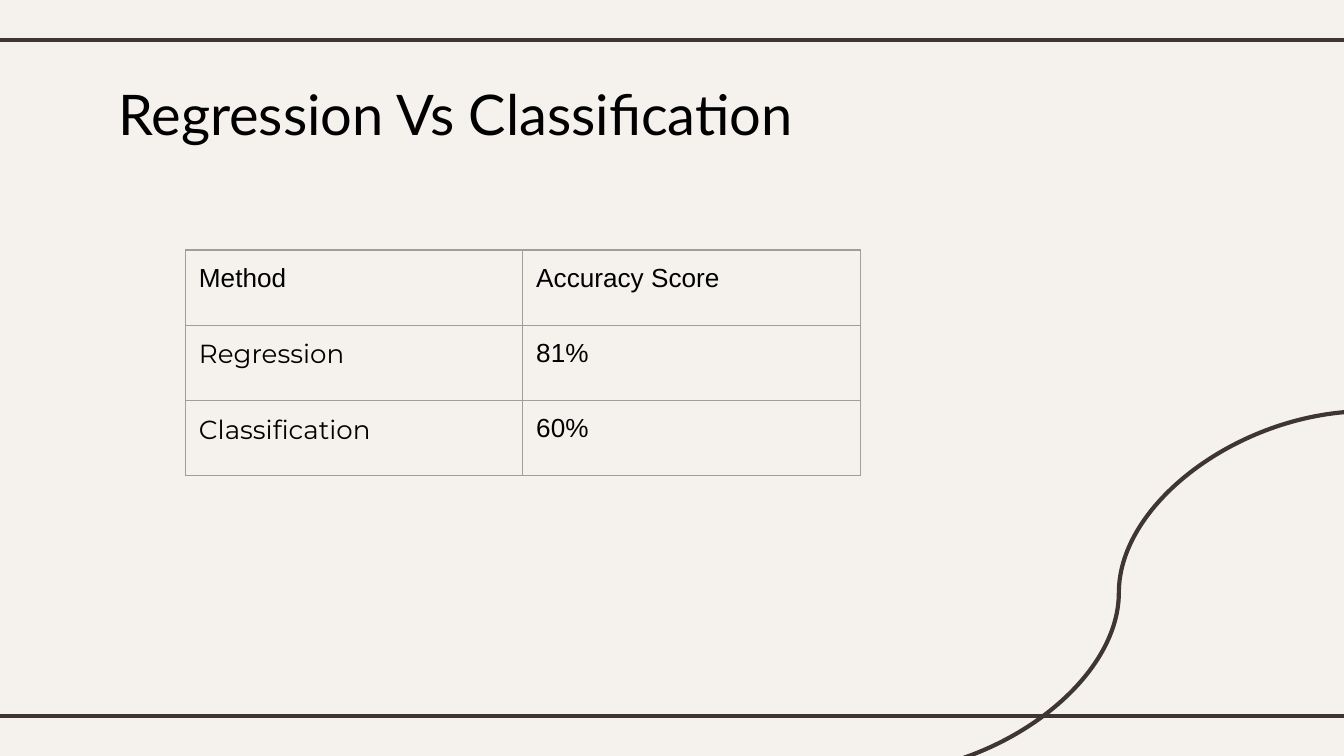
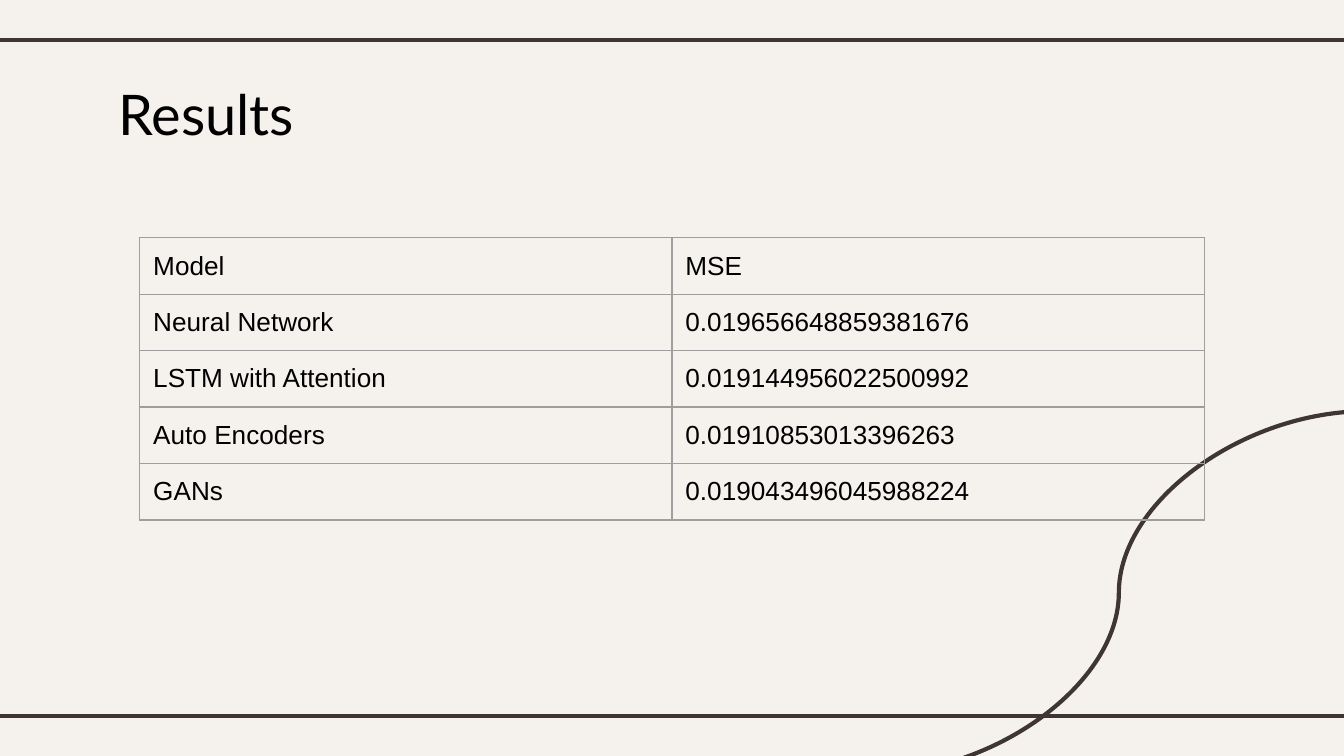
from lxml import etree
from pptx import Presentation
from pptx.dml.color import RGBColor
from pptx.enum.shapes import MSO_CONNECTOR
from pptx.enum.text import MSO_ANCHOR, MSO_AUTO_SIZE, PP_ALIGN
from pptx.oxml import parse_xml
from pptx.oxml.ns import nsdecls, qn
from pptx.util import Inches, Pt

STRAIGHT, CURVE = MSO_CONNECTOR.STRAIGHT, MSO_CONNECTOR.CURVE
TOP, LEFT, NO_FIT = MSO_ANCHOR.TOP, PP_ALIGN.LEFT, MSO_AUTO_SIZE.NONE
PAPER, INK, GRID, BLACK = "F5F2EE", "3F3533", "9E9E9E", "000000"
TITLE_ONLY = 5
PAD = Inches(0.1)

# Line kind, start x, start y, end x, end y
LINES = [
    (STRAIGHT, -0.08, 0.3, 10.08, 0.3),
    (STRAIGHT, -0.08, 5.33, 10.08, 5.33),
    (CURVE, 10.17, 3.06, 6.48, 5.76),
]

PAGES = [
    dict(
        title="Regression Vs Classification",
        left=1.38, top=1.86, col=2.51, row=0.56, after=10, names="Montserrat",
        data=[
            ("Method", "Accuracy Score"),
            ("Regression", "81%"),
            ("Classification", "60%"),
        ],
    ),
    dict(
        title="Results",
        left=1.04, top=1.77, col=3.96, row=0.42, after=0, names="Arial",
        data=[
            ("Model", "MSE"),
            ("Neural Network", "0.019656648859381676"),
            ("LSTM with Attention", "0.019144956022500992"),
            ("Auto Encoders", "0.01910853013396263"),
            ("GANs", "0.019043496045988224"),
        ],
    ),
]


def color(code):
    return RGBColor.from_string(code)


def write(frame, text, font="Arial", size=14, after=0):
    """Fill a text frame with one left-aligned black paragraph."""
    para = frame.paragraphs[0]
    para.alignment = LEFT
    para.space_after = Pt(after)
    run = para.add_run()
    run.text = text
    run.font.name = font
    run.font.size = Pt(size)
    run.font.color.rgb = color(BLACK)


prs = Presentation()
prs.slide_width, prs.slide_height = Inches(10), Inches(5.625)
back = prs.slide_master.background.fill
back.solid()
back.fore_color.rgb = color(PAPER)

for page in PAGES:
    slide = prs.slides.add_slide(prs.slide_layouts[TITLE_ONLY])

    for kind, *ends in LINES:
        line = slide.shapes.add_connector(kind, *map(Inches, ends))
        line.line.color.rgb = color(INK)
        line.line.width = Pt(2.25)
        etree.SubElement(line._element.spPr, qn("a:effectLst"))

    title = slide.shapes.title
    title.left, title.top = Inches(0.78), Inches(0.49)
    title.width, title.height = Inches(6.21), Inches(0.63)
    frame = title.text_frame
    frame.word_wrap = True
    frame.auto_size = NO_FIT
    frame.vertical_anchor = TOP
    frame.margin_left = frame.margin_right = PAD
    frame.margin_top = frame.margin_bottom = PAD
    write(frame, page["title"], font="Lato", size=30)

    data = page["data"]
    rows, cols = len(data), len(data[0])
    table = slide.shapes.add_table(
        rows, cols, Inches(page["left"]), Inches(page["top"]),
        Inches(cols * page["col"]), Inches(rows * page["row"]),
    ).table
    table.first_row = table.horz_banding = False

    for r, texts in enumerate(data):
        for c, text in enumerate(texts):
            cell = table.cell(r, c)
            cell.margin_left = cell.margin_right = PAD
            cell.margin_top = cell.margin_bottom = PAD
            cell.vertical_anchor = TOP
            props = cell._tc.get_or_add_tcPr()
            for side in ("lnL", "lnR", "lnT", "lnB"):
                props.append(parse_xml(
                    f'<a:{side} {nsdecls("a")} w="{Pt(0.75)}"><a:solidFill>'
                    f'<a:srgbClr val="{GRID}"/></a:solidFill></a:{side}>'
                ))
            cell.fill.background()
            font = page["names"] if r and c == 0 else "Arial"
            write(cell.text_frame, text, font=font, after=page["after"])

prs.save("out.pptx")
